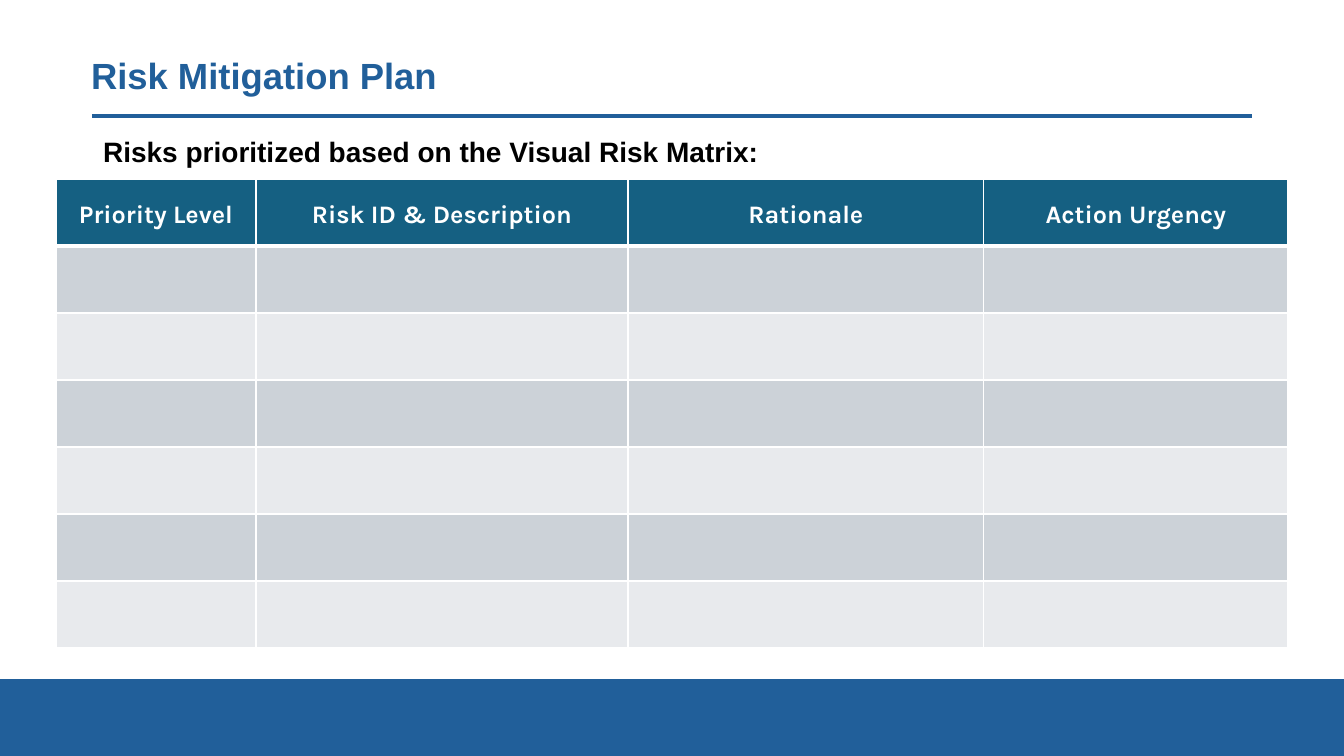
from dataclasses import dataclass

from lxml.etree import SubElement
from pptx import Presentation
from pptx.dml.color import RGBColor
from pptx.enum.shapes import MSO_CONNECTOR, MSO_SHAPE
from pptx.enum.text import MSO_ANCHOR, MSO_AUTO_SIZE, PP_ALIGN
from pptx.oxml.ns import qn
from pptx.util import Emu, Pt

TITLE = "Risk Mitigation Plan"
SUBTITLE = "Risks prioritized based on the Visual Risk Matrix:"
# Heading and width in px of each column
COLUMNS = [
    ("Priority Level", 200),
    ("Risk ID & Description", 372),
    ("Rationale", 356),
    ("Action Urgency", 304),
]
RISK_ROWS = 6

SLIDE_WIDTH, SLIDE_HEIGHT = 1344, 756
FOOTER_TOP = 680
RULE_LEFT, RULE_RIGHT, RULE_TOP = 92, 1252, 116
TITLE_BOX = (81, 40, 1159, 76)
SUBTITLE_BOX = (93, 133, 1159, 46)
TABLE_LEFT, TABLE_TOP, ROW_HEIGHT = 56, 179, 67


@dataclass(frozen=True)
class Theme:
    blue: str = "215F9A"
    header: str = "156082"
    bands: tuple = ("CCD2D8", "E8EAED")
    white: str = "FFFFFF"
    black: str = "000000"
    text_font: str = "Arial"
    table_font: str = "Karla"
    title_size: int = 26
    subtitle_size: int = 20
    header_size: int = 18


THEME = Theme()


def px(length):
    return Emu(round(length * 914400 / 100.8))


def color(value):
    return RGBColor.from_string(value)


def style_font(para, name, size, value):
    para.font.name = name
    para.font.size = Pt(size)
    para.font.bold = True
    para.font.color.rgb = color(value)


def fill_placeholder(box, place, text, size, value, anchor):
    box.left, box.top, box.width, box.height = map(px, place)
    frame = box.text_frame
    frame.text = text
    frame.word_wrap = True
    frame.auto_size = MSO_AUTO_SIZE.NONE
    frame.vertical_anchor = anchor
    para = frame.paragraphs[0]
    properties = para._p.get_or_add_pPr()
    properties.set("marL", "0")
    properties.set("indent", "0")
    SubElement(properties, qn("a:buNone"))
    para.alignment = PP_ALIGN.LEFT
    para.line_spacing = 0.9
    para.space_before = Pt(0)
    style_font(para, THEME.text_font, size, value)


def set_borders(cell, top, bottom):
    """Draw white cell borders, 1 pt at the sides; call before setting the fill."""
    properties = cell._tc.get_or_add_tcPr()
    for side, width in (("L", 1), ("R", 1), ("T", top), ("B", bottom)):
        line = SubElement(properties, qn(f"a:ln{side}"), w=str(Pt(width)))
        SubElement(SubElement(line, qn("a:solidFill")), qn("a:srgbClr"), val=THEME.white)


def fill_cell(cell, value):
    cell.fill.solid()
    cell.fill.fore_color.rgb = color(value)


def add_footer_and_rule(slide):
    footer = slide.shapes.add_shape(
        MSO_SHAPE.RECTANGLE, 0, px(FOOTER_TOP), px(SLIDE_WIDTH), px(SLIDE_HEIGHT - FOOTER_TOP))
    footer.shadow.inherit = False
    footer.fill.solid()
    footer.fill.fore_color.rgb = color(THEME.blue)
    footer.line.color.rgb = color(THEME.blue)
    footer.line.width = Pt(1.5)

    rule = slide.shapes.add_connector(
        MSO_CONNECTOR.STRAIGHT, px(RULE_LEFT), px(RULE_TOP), px(RULE_RIGHT), px(RULE_TOP))
    rule.line.color.rgb = color(THEME.blue)
    rule.line.width = Pt(3)
    SubElement(rule._element.spPr, qn("a:effectLst"))


def add_risk_table(slide):
    row_count = RISK_ROWS + 1
    table_width = sum(width for _, width in COLUMNS)
    table = slide.shapes.add_table(
        row_count, len(COLUMNS), px(TABLE_LEFT), px(TABLE_TOP),
        px(table_width), px(ROW_HEIGHT * row_count)).table
    table.horz_banding = False
    for row in table.rows:
        row.height = px(ROW_HEIGHT)

    for column, (heading, width) in enumerate(COLUMNS):
        table.columns[column].width = px(width)
        cell = table.cell(0, column)
        cell.text = heading
        cell.vertical_anchor = MSO_ANCHOR.MIDDLE
        cell.margin_left = cell.margin_right = px(1)
        cell.margin_top = cell.margin_bottom = px(1)
        para = cell.text_frame.paragraphs[0]
        para.alignment = PP_ALIGN.CENTER
        para.line_spacing = 1.15
        style_font(para, THEME.table_font, THEME.header_size, THEME.white)
        set_borders(cell, top=1, bottom=3)
        fill_cell(cell, THEME.header)

        for row in range(1, row_count):
            cell = table.cell(row, column)
            set_borders(cell, top=3 if row == 1 else 1, bottom=1)
            fill_cell(cell, THEME.bands[(row - 1) % 2])


def main():
    deck = Presentation()
    deck.slide_width, deck.slide_height = px(SLIDE_WIDTH), px(SLIDE_HEIGHT)
    slide = deck.slides.add_slide(deck.slide_layouts[1])
    add_footer_and_rule(slide)
    fill_placeholder(slide.shapes.title, TITLE_BOX, TITLE,
                     THEME.title_size, THEME.blue, MSO_ANCHOR.MIDDLE)
    fill_placeholder(slide.placeholders[1], SUBTITLE_BOX, SUBTITLE,
                     THEME.subtitle_size, THEME.black, MSO_ANCHOR.TOP)
    add_risk_table(slide)
    deck.save("out.pptx")


if __name__ == "__main__":
    main()
